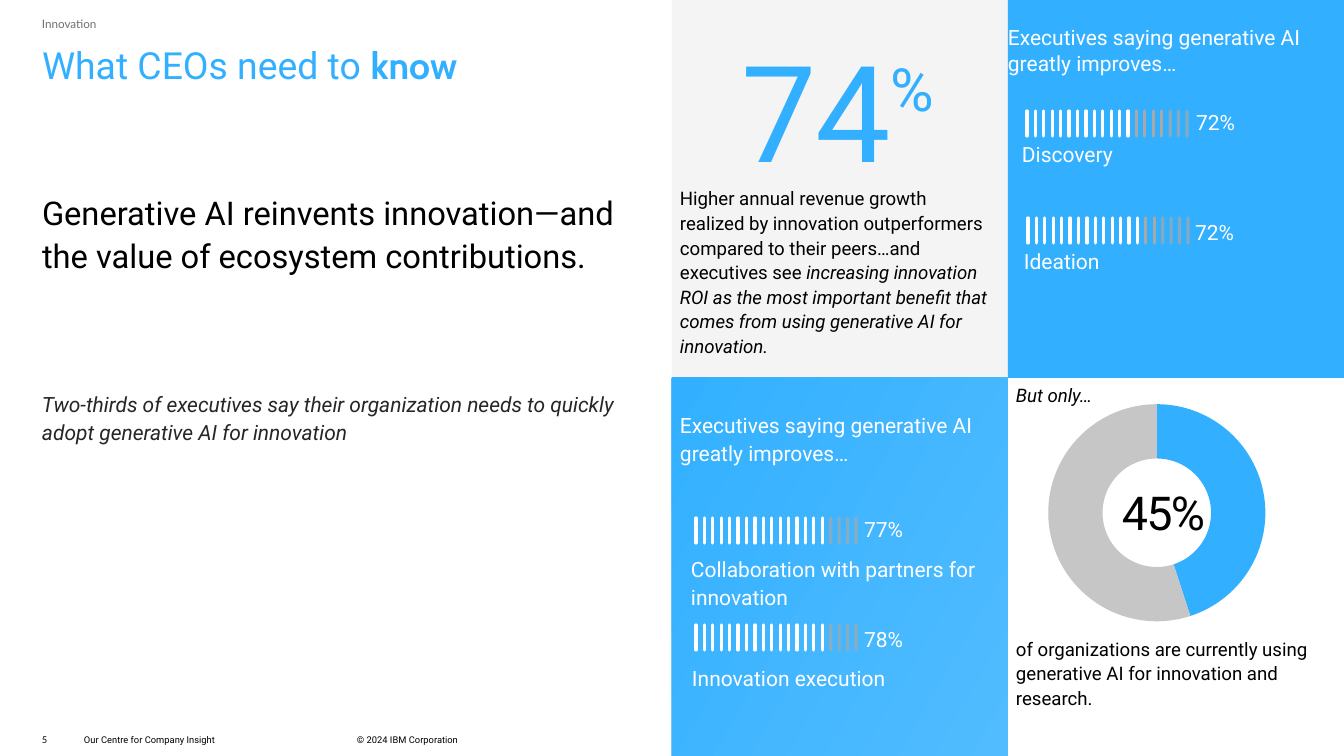
from lxml.etree import SubElement
from pptx import Presentation
from pptx.chart.data import CategoryChartData
from pptx.dml.color import RGBColor
from pptx.enum.chart import XL_CHART_TYPE as ChartType
from pptx.enum.shapes import MSO_CONNECTOR as Connector, MSO_SHAPE as Shape
from pptx.enum.text import MSO_ANCHOR as Anchor, MSO_AUTO_SIZE as AutoSize, PP_ALIGN as Align
from pptx.oxml.ns import qn
from pptx.util import Emu, Pt

BLUE = RGBColor(0x32, 0xB0, 0xFF)
LIGHT_BLUE = RGBColor(0x51, 0xBC, 0xFF)
PALE = RGBColor(0xF4, 0xF4, 0xF4)
WHITE = RGBColor(0xFF, 0xFF, 0xFF)
BLACK = RGBColor(0, 0, 0)
CHARCOAL = RGBColor(0x26, 0x26, 0x26)
GRAY = RGBColor(0x6F, 0x6F, 0x6F)
TICK_GRAY = RGBColor(0xA8, 0xA8, 0xA8)
RING_GRAY = RGBColor(0xC6, 0xC6, 0xC6)

TICKS = 20
TICK_SPAN, TICK_HEIGHT = 160, 25

# tick left, tick top, white, opaque gray, percent, percent left, percent top, label, label left, label top
METERS = [
    (696, 518, 16, 0, "77%", 864, 514, "Collaboration with partners for innovation", 691, 554),
    (696, 625, 16, 0, "78%", 864, 624, "Innovation execution", 692, 663),
    (1027, 111, 13, 4, "72%", 1196, 107, "Discovery", 1022, 139),
    (1028, 218, 14, 2, "72%", 1195, 217, "Ideation", 1024, 246),
]


def px(length):
    return Emu(round(length * 914400 / 84))


def place(*lengths):
    return [px(length) for length in lengths]


def set_frame(frame, insets=(0, 0, 0, 0), anchor=Anchor.TOP):
    frame.word_wrap = True
    frame.auto_size = AutoSize.NONE
    frame.vertical_anchor = anchor
    (frame.margin_left, frame.margin_top,
     frame.margin_right, frame.margin_bottom) = place(*insets)


def write(para, text, size, color, font="Roboto", italic=False, align=Align.LEFT, spacing=None):
    para.alignment = align
    para.line_spacing = spacing
    para.font.size = Pt(size)
    para.font.name = font
    para.font.color.rgb = color
    para.font.italic = italic
    return add_span(para, text)


def add_span(para, text):
    span = para.add_run()
    span.text = text
    return span


def add_text(page, bounds, text, size, color, anchor=Anchor.TOP, **style):
    box = page.shapes.add_textbox(*place(*bounds))
    set_frame(box.text_frame, anchor=anchor)
    para = box.text_frame.paragraphs[0]
    write(para, text, size, color, **style)
    return para


def add_panel(page, left, top, color, insets):
    panel = page.shapes.add_shape(Shape.RECTANGLE, *place(left, top, 336, 378))
    panel.shadow.inherit = False
    panel.line.fill.background()
    panel.fill.solid()
    panel.fill.fore_color.rgb = color
    set_frame(panel.text_frame, insets)
    return panel


def add_tick(page, x, y, color, alpha=None):
    tick = page.shapes.add_connector(Connector.STRAIGHT, *place(x, y, x, y + TICK_HEIGHT))
    tick.line.width = Pt(2.75)
    tick.line.color.rgb = color
    properties = tick._element.spPr
    outline = properties.find(qn("a:ln"))
    outline.set("cap", "rnd")
    if alpha:
        SubElement(outline.find(".//" + qn("a:srgbClr")), qn("a:alpha"), val=str(alpha * 1000))
    SubElement(properties, qn("a:effectLst"))


def add_meter(page, left, top, white, opaque, percent, percent_left, percent_top,
              label, label_left, label_top):
    for index in range(TICKS):
        x = left + index * TICK_SPAN / (TICKS - 1)
        color = WHITE if index < white else TICK_GRAY
        add_tick(page, x, top, color, None if index < white + opaque else 70)
    add_text(page, (percent_left, percent_top, 79, 45), percent, 18, WHITE, spacing=1.1)
    add_text(page, (label_left, label_top, 346, 33), label, 18, WHITE, spacing=1.1)


def add_ring(page):
    data = CategoryChartData()
    data.categories = ["1", "2"]
    data.add_series("Series 1", (45, 55))
    chart = page.shapes.add_chart(ChartType.DOUGHNUT, *place(965, 404, 362, 234), data).chart
    chart.has_legend = False
    chart.has_title = False
    chart.font.size = Pt(18)
    chart.font.name = "Roboto"
    chart.font.color.rgb = BLACK
    plot = chart.plots[0]
    plot.vary_by_categories = True
    for index, color in enumerate((BLUE, RING_GRAY)):
        point = plot.series[0].points[index].format
        point.fill.solid()
        point.fill.fore_color.rgb = color
        point.line.fill.background()
    set_plot_area(plot, x=0.23, y=0, w=0.6, h=0.93)


def set_plot_area(plot, **shares):
    area = plot._element.getparent()
    layout = area.find(qn("c:layout"))
    if layout is None:
        layout = SubElement(area, qn("c:layout"))
        area.insert(0, layout)
    manual = SubElement(layout, qn("c:manualLayout"))
    settings = {"layoutTarget": "inner", "xMode": "edge", "yMode": "edge", **shares}
    for name, value in settings.items():
        SubElement(manual, qn("c:" + name), val=str(value))


def add_left_side(page):
    title = page.shapes.title
    title.left, title.top, title.width, title.height = place(42, 42, 609, 118)
    set_frame(title.text_frame)
    para = title.text_frame.paragraphs[0]
    write(para, "What CEOs need to ", 32, BLUE)
    keyword = add_span(para, "know")
    keyword.font.name = "Cabin"
    keyword.font.bold = True

    add_text(page, (42, 17, 294, 25), "Innovation", 10, GRAY, font="Lato")
    add_text(page, (42, 189, 609, 504),
             "Generative AI reinvents innovation—and the value of ecosystem contributions.",
             28, BLACK, spacing=1.1)
    add_text(page, (42, 389, 590, 181),
             "Two-thirds of executives say their organization needs to quickly adopt "
             "generative AI for innovation", 18, CHARCOAL, italic=True, spacing=1.1)
    add_text(page, (42, 733, 42, 24), "5", 8, BLACK, font="Lato", spacing=1.1)
    for left, text in ((84, "Our Centre for Company Insight"), (357, "© 2024 IBM Corporation")):
        add_text(page, (left, 730, 210, 20), text, 8, BLACK, Anchor.MIDDLE)


def add_panels(page):
    usage = add_panel(page, 1008, 378, WHITE, (8, 4, 8, 4)).text_frame
    write(usage.paragraphs[0], "But only…", 16, BLACK, italic=True, spacing=1.1)
    share = usage.add_paragraph()
    share.space_before = Pt(196)
    write(share, "of organizations are currently using generative AI for innovation and research.",
          16, BLACK, spacing=1.1)

    growth = add_panel(page, 672, 0, PALE, (8, 185, 8, 4)).text_frame.paragraphs[0]
    write(growth, "Higher annual revenue growth", 16, BLACK, spacing=1.1)
    growth.add_line_break()
    add_span(growth, "realized by innovation outperformers compared to their peers…and executives see ")
    benefit = add_span(growth, "increasing innovation ROI as the most important benefit that "
                               "comes from using generative AI for innovation.")
    benefit.font.italic = True

    heading = "Executives saying generative AI greatly improves…"
    ideas = add_panel(page, 1008, 0, BLUE, (0, 25, 0, 0))
    write(ideas.text_frame.paragraphs[0], heading, 18, WHITE)
    delivery = add_panel(page, 672, 378, BLUE, (8, 32, 8, 4))
    write(delivery.text_frame.paragraphs[0], heading, 18, WHITE, spacing=1.1)
    delivery.fill.gradient()
    delivery.fill.gradient_angle = 150
    for stop, color in zip(delivery.fill.gradient_stops, (LIGHT_BLUE, BLUE)):
        stop.color.rgb = color


def add_figures(page):
    figure = add_text(page, (670, 67, 336, 84), "74", 115, BLUE, Anchor.MIDDLE, align=Align.CENTER)
    percent = add_span(figure, "%")
    percent.font.size = Pt(88)
    percent.font._element.set("baseline", "50000")
    add_ring(page)
    share = add_text(page, (1063, 470, 201, 84), "45%", 40, BLACK, Anchor.MIDDLE, align=Align.CENTER)
    for span in (*figure.runs, *share.runs):
        span.font._element.set("spc", "-150")


def main():
    deck = Presentation()
    deck.slide_width, deck.slide_height = place(1344, 756)
    page = deck.slides.add_slide(deck.slide_layouts[5])
    add_left_side(page)
    add_panels(page)
    add_figures(page)
    for meter in METERS:
        add_meter(page, *meter)
    deck.save("out.pptx")


if __name__ == "__main__":
    main()
